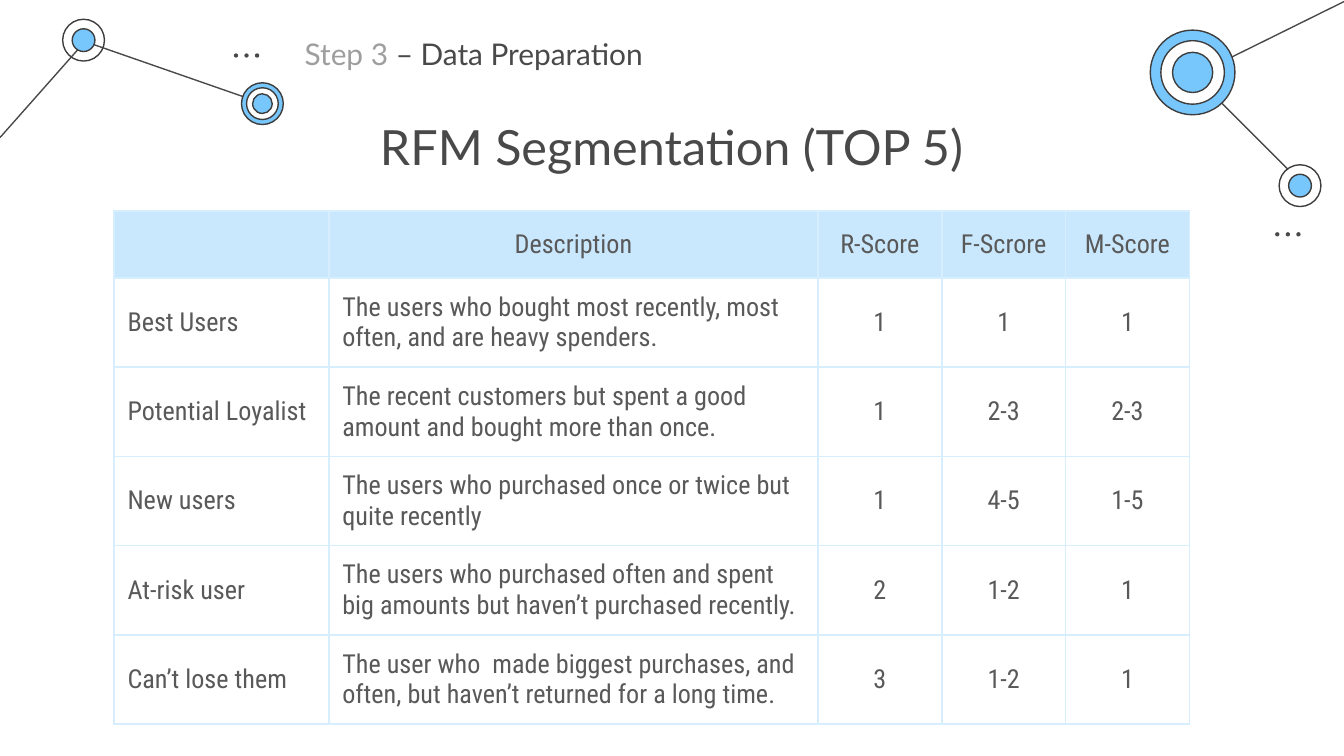
"""Build the RFM segmentation slide with its table and node decorations."""
from lxml import etree
from pptx import Presentation
from pptx import util as u
from pptx.dml import color
from pptx.enum import shapes, text
from pptx.oxml import ns

COLORS = {"dark": "494949", "outline": "3D3D3D", "blue": "77C6FC", "white": "FFFFFF",
          "muted": "9E9E9E", "body": "595959", "header": "C9E8FE", "border": "D6EEFE"}
MARGIN = u.Cm(0.25)


def add_circle(center_x, center_y, diameter, fill, outline=None):
    left, top = center_x - diameter / 2, center_y - diameter / 2
    circle = slide.shapes.add_shape(shapes.MSO_SHAPE.OVAL, u.Cm(left), u.Cm(top),
                                    u.Cm(diameter), u.Cm(diameter))
    circle.shadow.inherit = False
    if fill:
        circle.fill.solid()
        circle.fill.fore_color.rgb = color.RGBColor.from_string(COLORS[fill])
    else:
        circle.fill.background()
    if outline:
        circle.line.color.rgb = color.RGBColor.from_string(COLORS[outline])
        circle.line.width = u.Pt(0.75)
    else:
        circle.line.fill.background()


def add_run(paragraph, words, font_name, size, ink):
    run = paragraph.add_run()
    run.text = words
    run.font.name = font_name
    run.font.size = u.Pt(size)
    run.font.color.rgb = color.RGBColor.from_string(COLORS[ink])


deck = Presentation()
deck.slide_width, deck.slide_height = u.Cm(25.4), u.Cm(14.29)
slide = deck.slides.add_slide(deck.slide_layouts[6])

links = [(24.57, 3.43, 22.54, 1.4), (1.62, 0.79, 4.98, 1.96),
         (0, 2.6, 1.62, 0.77), (25.4, 0.03, 22.63, 1.4)]
for x1, y1, x2, y2 in links:
    link = slide.shapes.add_connector(shapes.MSO_CONNECTOR.STRAIGHT,
                                      u.Cm(x1), u.Cm(y1), u.Cm(x2), u.Cm(y2))
    link.line.color.rgb = color.RGBColor.from_string(COLORS["dark"])
    link.line.width = u.Pt(0.75)
    etree.SubElement(link._element.spPr, ns.qn("a:effectLst"))

nodes = [
    (1.58, 0.76, [(0.79, None), (0.43, "blue")]),
    (4.96, 1.96, [(0.79, "blue"), (0.6, "white"), (0.37, "blue")]),
    (22.54, 1.37, [(1.6, "blue"), (1.2, "white"), (0.76, "blue")]),
    (24.57, 3.51, [(0.79, "white"), (0.43, "blue")]),
]
for x, y, rings in nodes:
    for diameter, fill in rings:
        add_circle(x, y, diameter, fill, "outline")

for x, y in [(4.46, 1.05), (24.14, 4.43)]:
    for step in range(3):
        add_circle(x + 0.2 * step, y, 0.08, "dark")

headings = [
    (2, 1.96, 21.4, 1.6, 26, text.PP_ALIGN.CENTER, [("RFM Segmentation (TOP 5)", "dark")]),
    (5.51, 0.43, 11.35, 1.27, 16, text.PP_ALIGN.LEFT,
     [("Step 3 ", "muted"), ("– Data Preparation", "dark")]),
]
for left, top, width, height, size, align, parts in headings:
    heading = slide.shapes.add_textbox(u.Cm(left), u.Cm(top), u.Cm(width), u.Cm(height))
    frame = heading.text_frame
    frame.word_wrap = True
    frame.margin_left = frame.margin_right = frame.margin_top = frame.margin_bottom = MARGIN
    frame.paragraphs[0].alignment = align
    for words, ink in parts:
        add_run(frame.paragraphs[0], words, "Lato", size, ink)

segments = [
    ("", "Description", "R-Score", "F-Scrore", "M-Score"),
    ("Best Users", "The users who bought most recently, most often, and are heavy spenders.",
     "1", "1", "1"),
    ("Potential Loyalist",
     "The recent customers but spent a good amount and bought more than once.",
     "1", "2-3", "2-3"),
    ("New users", "The users who purchased once or twice but quite recently",
     "1", "4-5", "1-5"),
    ("At-risk user",
     "The users who purchased often and spent big amounts but haven’t purchased recently.",
     "2", "1-2", "1"),
    ("Can’t lose them",
     "The user who  made biggest purchases, and often, but haven’t returned for a long time.",
     "3", "1-2", "1"),
]
column_widths = [4.06, 9.24, 2.34, 2.34, 2.34]
row_heights = [1.07] + [1.63] * 5
scores = slide.shapes.add_table(len(segments), len(column_widths), u.Cm(2.16), u.Cm(3.99),
                                u.Cm(sum(column_widths)), u.Cm(sum(row_heights))).table
for column, width in zip(scores.columns, column_widths):
    column.width = u.Cm(width)
for row, height in zip(scores.rows, row_heights):
    row.height = u.Cm(height)

for r, segment in enumerate(segments):
    for c, words in enumerate(segment):
        cell = scores.cell(r, c)
        cell.vertical_anchor = text.MSO_ANCHOR.MIDDLE
        cell.margin_left = cell.margin_right = cell.margin_top = cell.margin_bottom = MARGIN
        for side in ("a:lnL", "a:lnR", "a:lnT", "a:lnB"):
            border = etree.SubElement(cell._tc.get_or_add_tcPr(), ns.qn(side), w=str(u.Pt(1)))
            paint = etree.SubElement(border, ns.qn("a:solidFill"))
            etree.SubElement(paint, ns.qn("a:srgbClr"), val=COLORS["border"])
        if r == 0:
            cell.fill.solid()
            cell.fill.fore_color.rgb = color.RGBColor.from_string(COLORS["header"])
        else:
            cell.fill.background()
        paragraph = cell.text_frame.paragraphs[0]
        centred = r == 0 or c > 1
        paragraph.alignment = text.PP_ALIGN.CENTER if centred else text.PP_ALIGN.LEFT
        if words:
            add_run(paragraph, words, "Roboto Condensed", 14, "body")

deck.save("out.pptx")
